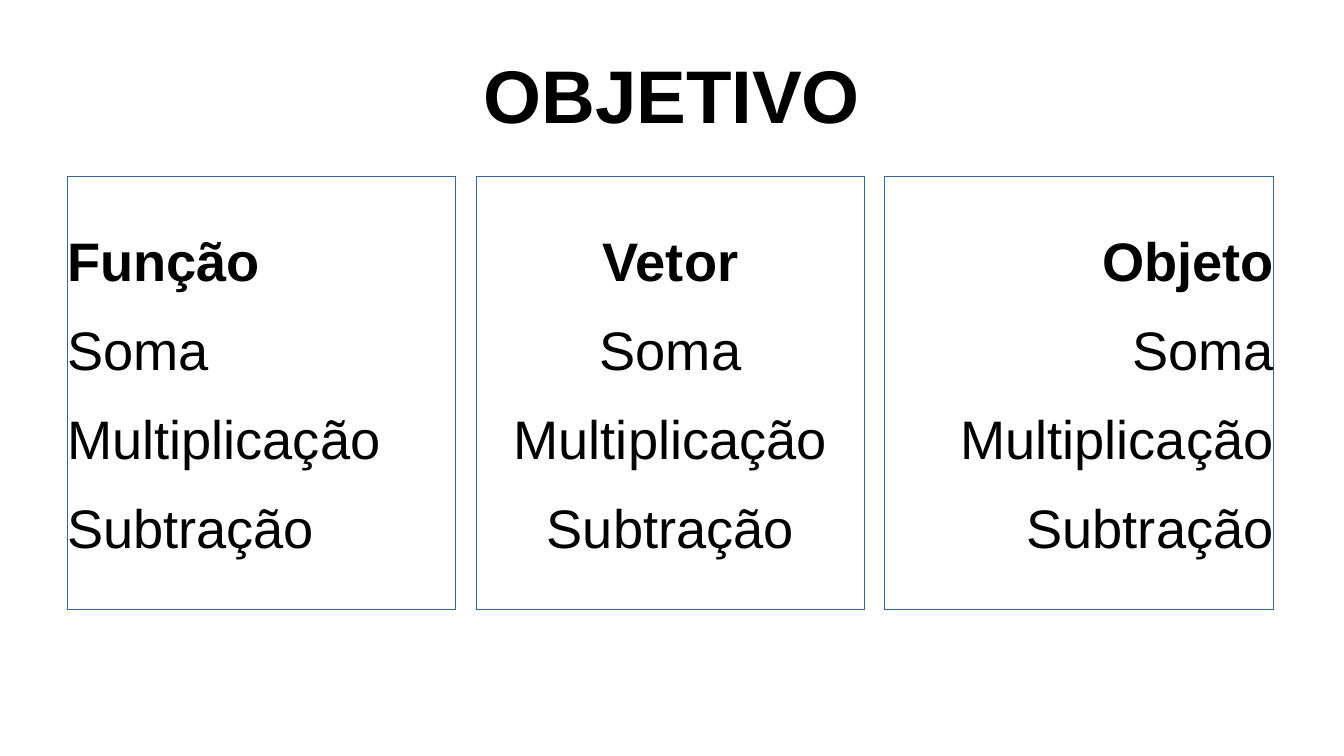
from dataclasses import dataclass

from pptx import Presentation
from pptx import util as u
from pptx.dml.color import RGBColor
from pptx.enum import text

EMU_PER_PX = u.Inches(1) // 122


@dataclass(frozen=True)
class Theme:
    font: str = "Arial"
    ink: RGBColor = RGBColor(0x00, 0x00, 0x00)
    border: RGBColor = RGBColor(0x34, 0x65, 0xA4)
    title_size: u.Pt = u.Pt(44)
    list_size: u.Pt = u.Pt(32)
    gap: u.Pt = u.Pt(14.2)


class Page:
    def __init__(self, deck, layout, theme):
        self.slide = deck.slides.add_slide(layout)
        self.theme = theme

    def place(self, box, left, top, width, height):
        box.left, box.top, box.width, box.height = (
            u.Emu(side * EMU_PER_PX) for side in (left, top, width, height)
        )
        frame = box.text_frame
        frame.margin_left = frame.margin_right = 0
        frame.margin_top = frame.margin_bottom = 0
        frame.vertical_anchor = text.MSO_ANCHOR.MIDDLE
        frame.auto_size = text.MSO_AUTO_SIZE.NONE
        frame.word_wrap = True
        return frame

    def add_span(self, para, words, size, bold, align):
        para.alignment = align
        para.line_spacing = 1.0
        span = para.add_run()
        span.text = words
        span.font.name = self.theme.font
        span.font.size = size
        span.font.bold = bold
        span.font.color.rgb = self.theme.ink

    def add_title(self, words, *bounds):
        frame = self.place(self.slide.shapes.title, *bounds)
        self.add_span(frame.paragraphs[0], words, self.theme.title_size, True,
                      text.PP_ALIGN.CENTER)

    def add_column(self, box, lines, align, *bounds):
        frame = self.place(box, *bounds)
        box.line.color.rgb = self.theme.border
        box.line.width = 0
        for row, words in enumerate(lines):
            para = frame.add_paragraph() if row else frame.paragraphs[0]
            self.add_span(para, words, self.theme.list_size, row == 0, align)
            para.space_before = self.theme.gap
            props = para._p.get_or_add_pPr()
            props.set("marL", "0")
            props.set("indent", "0")
            props.append(props.makeelement(
                "{http://schemas.openxmlformats.org/drawingml/2006/main}buNone", {}))


def main():
    deck = Presentation()
    deck.slide_width = u.Emu(1344 * EMU_PER_PX)
    deck.slide_height = u.Emu(756 * EMU_PER_PX)
    page = Page(deck, deck.slide_layouts.get_by_name("Comparison"), Theme())
    page.add_title("OBJETIVO", 67, 30, 1210, 127)

    operations = ["Soma", "Multiplicação", "Subtração"]
    columns = [
        ("Função", text.PP_ALIGN.LEFT),
        ("Vetor", text.PP_ALIGN.CENTER),
        ("Objeto", text.PP_ALIGN.RIGHT),
    ]
    bodies = list(page.slide.placeholders)[1:]
    for order, (box, (heading, align)) in enumerate(zip(bodies, columns)):
        page.add_column(box, [heading, *operations], align,
                        67 + order * 409, 177, 389, 433)
    for spare in bodies[len(columns):]:
        spare.element.getparent().remove(spare.element)

    deck.save("out.pptx")


if __name__ == "__main__":
    main()
